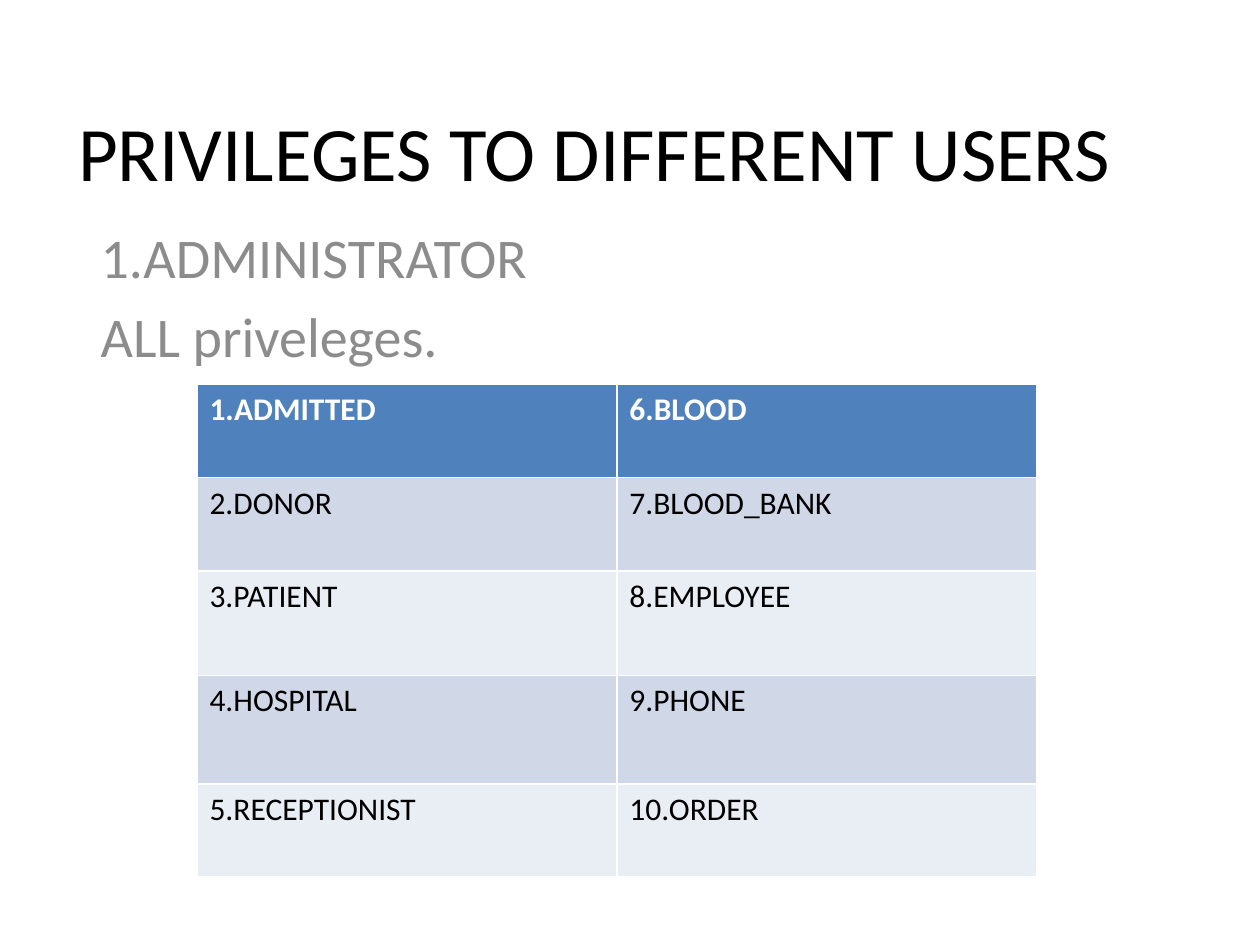
from dataclasses import dataclass

from pptx import Presentation
from pptx import util as u
from pptx.dml.color import RGBColor
from pptx.enum import text


@dataclass(frozen=True)
class Theme:
    font: str = "Calibri"
    black: str = "000000"
    white: str = "FFFFFF"
    gray: str = "8C8C8C"
    head: str = "4F81BD"
    bands: tuple = ("D0D8E8", "E9EDF4")
    title: int = 44
    body: int = 32
    cell: int = 18


THEME = Theme()
ROLES = ["1.ADMINISTRATOR", "ALL priveleges."]
TABLES = [
    ("1.ADMITTED", "6.BLOOD"),
    ("2.DONOR", "7.BLOOD_BANK"),
    ("3.PATIENT", "8.EMPLOYEE"),
    ("4.HOSPITAL", "9.PHONE"),
    ("5.RECEPTIONIST", "10.ORDER"),
]
HEIGHTS = (1.88, 1.88, 2.11, 2.18, 1.88)


def apply(item, **values):
    for name, value in values.items():
        setattr(item, name, value)


def write(para, words, size, color, bold=False):
    run = para.add_run()
    run.text = words
    apply(run.font, name=THEME.font, size=u.Pt(size), bold=bold)
    run.font.color.rgb = RGBColor.from_string(color)


def add_title(slide, words):
    title = slide.shapes.title
    apply(title, left=u.Cm(1.2), top=u.Cm(1), width=u.Cm(21.59), height=u.Cm(4.08))
    frame = title.text_frame
    apply(frame, word_wrap=True, auto_size=text.MSO_AUTO_SIZE.NONE,
          vertical_anchor=text.MSO_ANCHOR.MIDDLE)
    para = frame.paragraphs[0]
    para.alignment = text.PP_ALIGN.CENTER
    write(para, words, THEME.title, THEME.black)


def add_body(slide, lines):
    box = slide.shapes.add_textbox(u.Cm(1.78), u.Cm(4.37), u.Cm(21.64), u.Cm(12.29))
    frame = box.text_frame
    apply(frame, word_wrap=True, auto_size=text.MSO_AUTO_SIZE.NONE)
    for i, line in enumerate(lines):
        para = frame.add_paragraph() if i else frame.paragraphs[0]
        para.space_before = u.Pt(THEME.body * 0.2)
        write(para, line, THEME.body, THEME.gray)


def add_grid(slide, rows, heights):
    # The default table style supplies the white cell borders
    grid = slide.shapes.add_table(
        len(rows), len(rows[0]), u.Cm(3.97), u.Cm(7.75),
        u.Cm(16.93), u.Cm(sum(heights))).table
    for r, (row, height) in enumerate(zip(rows, heights)):
        grid.rows[r].height = u.Cm(height)
        head = r == 0
        fill = THEME.head if head else THEME.bands[(r - 1) % 2]
        color = THEME.white if head else THEME.black
        for c, words in enumerate(row):
            cell = grid.cell(r, c)
            cell.fill.solid()
            cell.fill.fore_color.rgb = RGBColor.from_string(fill)
            write(cell.text_frame.paragraphs[0], words, THEME.cell, color, head)


def main():
    deck = Presentation()
    apply(deck, slide_width=u.Cm(25.4), slide_height=u.Cm(19.05))
    slide = deck.slides.add_slide(deck.slide_layouts[5])

    # Heading and role
    add_title(slide, "PRIVILEGES TO DIFFERENT USERS")
    add_body(slide, ROLES)

    # Tables the role may use
    add_grid(slide, TABLES, HEIGHTS)

    deck.save("out.pptx")


if __name__ == "__main__":
    main()
